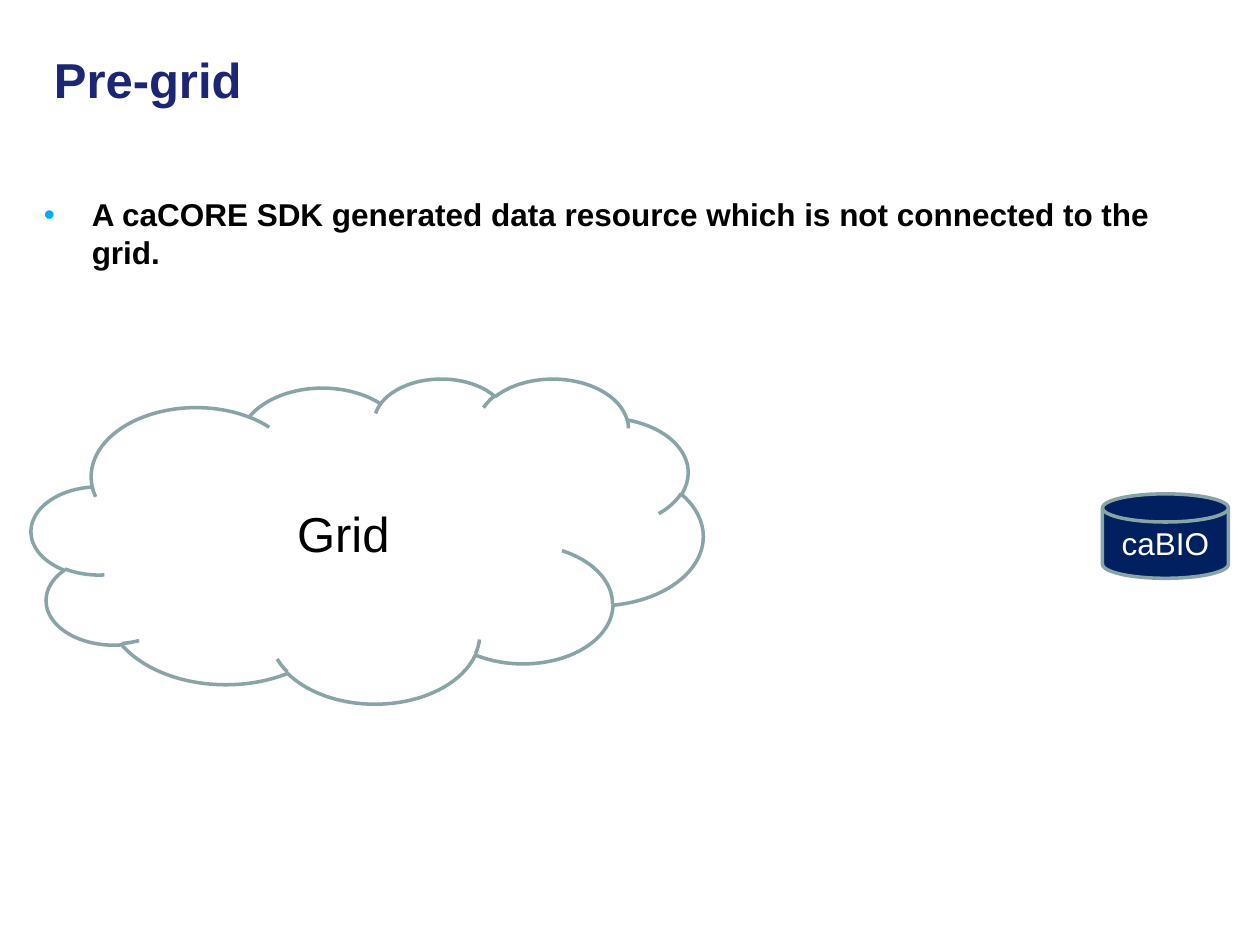
from lxml import etree
from pptx import Presentation
from pptx.dml.color import RGBColor
from pptx.enum import shapes, text
from pptx.oxml.ns import qn
from pptx.util import Inches, Pt


def color(code):
    return RGBColor.from_string(code)


def write(shape, words, size, code, bold=False):
    """Fill the shape's first paragraph with one Arial run."""
    frame = shape.text_frame
    frame.word_wrap = True
    frame.vertical_anchor = text.MSO_ANCHOR.MIDDLE
    par = frame.paragraphs[0]
    run = par.add_run()
    run.text = words
    run.font.name = "Arial"
    run.font.size = Pt(size)
    run.font.bold = bold
    run.font.color.rgb = color(code)
    return par


deck = Presentation()
deck.slide_width, deck.slide_height = Inches(10), Inches(7.5)
slide = deck.slides.add_slide(deck.slide_layouts[6])

# Title
title = slide.shapes.add_textbox(Inches(0.33), Inches(0), Inches(7.5), Inches(1.25))
write(title, "Pre-grid", 28, "1C2674", True)

# Bullet
body = slide.shapes.add_textbox(Inches(0.25), Inches(1.5), Inches(9.25), Inches(5.42))
par = write(body, "A caCORE SDK generated data resource which is not "
            "connected to the grid.", 18, "000000", True)
body.text_frame.vertical_anchor = text.MSO_ANCHOR.TOP
props = par._p.get_or_add_pPr()
props.set("marL", str(Inches(0.38)))
props.set("indent", str(-Inches(0.38)))
tint = etree.SubElement(props, qn("a:buClr"))
etree.SubElement(tint, qn("a:srgbClr"), val="00AAF6")
etree.SubElement(props, qn("a:buFont"), typeface="Arial")
etree.SubElement(props, qn("a:buChar"), char="•")

# Data resource and grid cloud
kinds = shapes.MSO_SHAPE
parts = [
    (kinds.FLOWCHART_MAGNETIC_DISK, (8.75, 3.92, 1, 0.67), "002060",
     "caBIO", 18, "FFFFFF"),
    (kinds.CLOUD, (0.25, 3, 5.33, 2.58), None, "Grid", 28, "000000"),
]
for kind, place, fill, words, size, ink in parts:
    shape = slide.shapes.add_shape(kind, *map(Inches, place))
    shape.shadow.inherit = False
    if fill:
        shape.fill.solid()
        shape.fill.fore_color.rgb = color(fill)
    else:
        shape.fill.background()
    shape.line.color.rgb = color("89A4A7")
    shape.line.width = Pt(2)
    write(shape, words, size, ink).alignment = text.PP_ALIGN.CENTER

deck.save("out.pptx")
